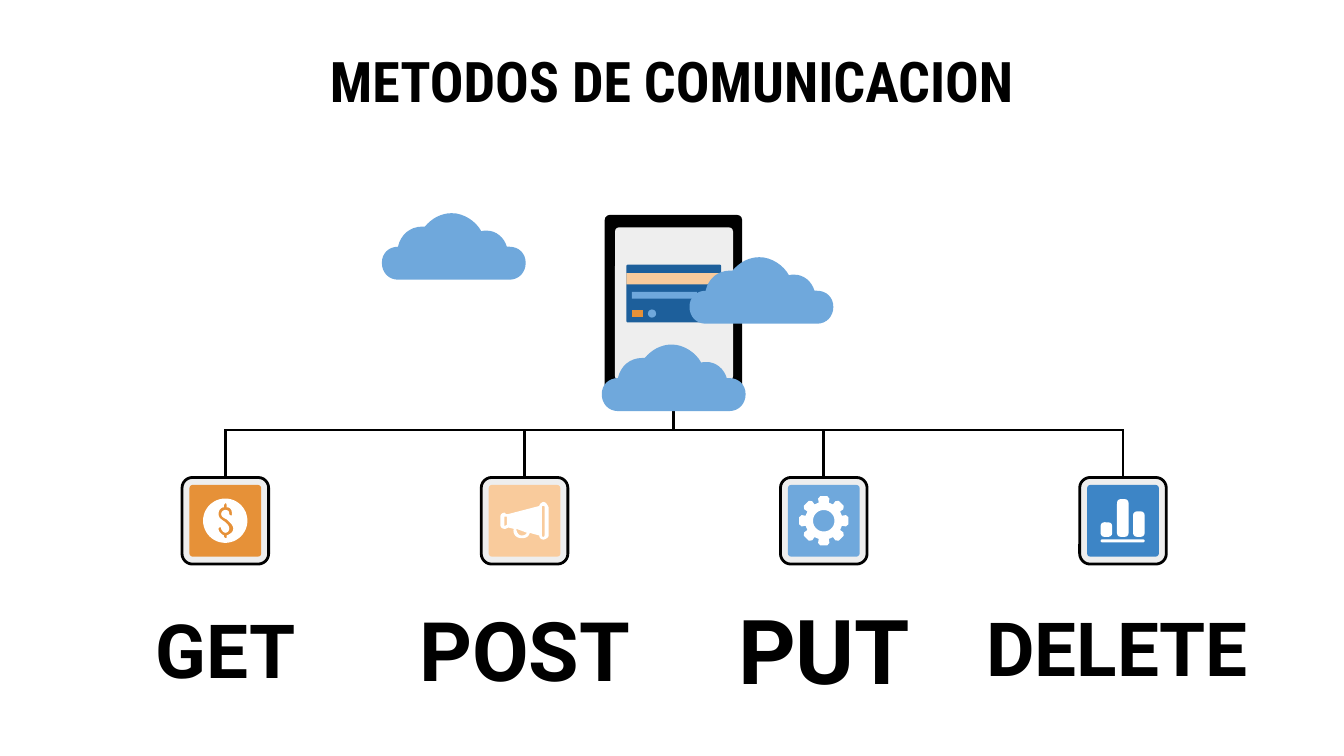
import math
from typing import NamedTuple, Optional

import pptx
import pptx.dml.color
import pptx.enum.shapes
import pptx.enum.text
import pptx.util
from lxml import etree

Pt = pptx.util.Pt
Kind = pptx.enum.shapes.MSO_SHAPE
Point = tuple[float, float]

BLACK, WHITE, GREY = "000000", "FFFFFF", "EEEEEE"
NAVY, BLUE, SKY, PEACH, ORANGE = "1D5F9B", "3D85C6", "6FA8DC", "F9CB9C", "E69138"
UNIT = 0.72  # points per step of the outline grid
FINE = 100   # outline coordinates are kept to this fraction of a step


class Box(NamedTuple):
    x: float
    y: float
    w: float
    h: float
    fill: str
    curve: float = 0
    line: Optional[str] = None


class Label(NamedTuple):
    text: str
    x: float
    y: float
    w: float
    h: float
    size: float
    font: str = "Roboto"
    inset: float = 0


class Tile(NamedTuple):
    fill: str
    label: Label


CLOUD = """M 52 0 C 44 0 37 4 32 10 C 32 10 31 10 30 10 C 21 10 14 16 12 25
C 5 25 0 30 0 37 C 0 44 5 49.5 12 49.5 L 95 49.5 C 102 49.5 107 44 107 37
C 107 30 102 25 95 25 L 93 25 C 91 18 85 13 78 13 C 77 13 75 13 74 13.5
C 70 6 61 0 52 0"""
DOLLAR = """M 0 -13 C 1 -13 1 -12 1 -11 L 1 -10 C 4 -10 5 -8 5 -5
C 5 -4 5 -4 5 -4 C 4 -4 3 -4 3 -5 C 3 -7 2 -8 0 -8 C -1 -8 -3 -7 -3 -5
C -3 -3 -1 -2 1 -1 C 3 1 6 3 6 6 C 6 8 4 10 1 11 L 1 12 C 1 13 1 13 0 13
C 0 13 -1 12 -1 12 L -1 11 C -3 10 -5 8 -5 6 C -5 5 -4 5 -4 5
C -3 5 -3 5 -3 6 C -3 7 -1 9 0 9 C 2 9 3 7 3 6 C 3 4 2 3 0 1
C -3 -1 -5 -2 -5 -5 C -5 -8 -3 -10 -1 -10 L -1 -11 C -1 -12 0 -13 0 -13"""
HORN = """M 14 -14 C 13 -14 11 -12 11 -11 L -12 -5 L -14 -5
C -14 -6 -15 -6 -15 -6 C -16 -6 -18 -5 -18 -3 L -18 3 C -18 5 -16 6 -15 6
C -14 6 -14 6 -14 6 L -12 5 L -8 6 C -9 10 -6 13 -2 13 C 1 13 3 12 4 9
L 11 11 C 11 13 13 14 14 14 C 16 14 18 12 18 11 L 18 -10 C 17 -12 16 -14 14 -14
M -15 -3 L -13 -3 L -13 3 L -15 4
M -6 6 L 2 9 C 1 10 0 11 -2 11 C -4 11 -6 9 -6 6
M 14 -11 C 15 -11 15 -11 15 -10 L 15 10 C 15 11 15 12 14 12
C 13 12 13 11 13 10 L 13 -10 C 13 -11 13 -11 14 -11"""

TITLE = Label("METODOS DE COMUNICACION", 100.8, 23.8, 518.4, 38.2, 30, "Roboto Condensed", 7.2)
TABLET = [
    Box(324, 115.2, 73.6, 98.2, BLACK, 2.6),
    Box(329.5, 121.8, 63.2, 82, GREY, 2.2),
    Box(335.6, 141.8, 50.8, 31, NAVY, 0.8),
    Box(335.6, 146.4, 50.8, 6, PEACH),
    Box(338.6, 156.4, 34.8, 3.6, SKY),
    Box(347.1, 165.8, 4.4, 4.4, SKY, 2.2),
    Box(338.6, 166.2, 5.8, 3.6, ORANGE),
]
CLOUDS = [(322.4, 184.6), (204.6, 114.2), (369.4, 137.8)]
BARS = [  # from the middle of the tile
    Box(-12, 10, 23.6, 1.6, WHITE, 0.8),
    Box(-12, 0.8, 6.2, 7.8, WHITE, 2),
    Box(-3.2, -11.6, 6.2, 20.2, WHITE, 2),
    Box(5.4, -5, 6.2, 13.6, WHITE, 2),
]
TILES = [
    Tile(ORANGE, Label("GET", 60.4, 312.4, 121, 70, 40)),
    Tile(PEACH, Label("POST", 220.6, 312.4, 121, 70, 44)),
    Tile(SKY, Label("PUT", 381, 312.4, 121, 70, 48)),
    Tile(BLUE, Label("DELETE", 525, 311.2, 147, 70, 40)),
]
FIRST, PITCH, MID = 120.7, 160.3, 279  # tile centres
BUS = 230.4


def rgb(code: str) -> pptx.dml.color.RGBColor:
    return pptx.dml.color.RGBColor.from_string(code)


def paint(shape, fill: str, line: Optional[str] = None) -> None:
    shape.shadow.inherit = False
    shape.fill.solid()
    shape.fill.fore_color.rgb = rgb(fill)
    if line:
        shape.line.color.rgb = rgb(line)
        shape.line.width = Pt(1.5)
    else:
        shape.line.fill.background()


def draw_box(slide, box: Box, dx: float = 0, dy: float = 0) -> None:
    kind = Kind.ROUNDED_RECTANGLE if box.curve else Kind.RECTANGLE
    shape = slide.shapes.add_shape(kind, Pt(box.x + dx), Pt(box.y + dy), Pt(box.w), Pt(box.h))
    if box.curve:
        shape.adjustments[0] = box.curve / min(box.w, box.h)
    paint(shape, box.fill, box.line)


def draw_line(slide, x1: float, y1: float, x2: float, y2: float) -> None:
    line = slide.shapes.add_connector(
        pptx.enum.shapes.MSO_CONNECTOR.STRAIGHT, Pt(x1), Pt(y1), Pt(x2), Pt(y2))
    line.line.color.rgb = rgb(BLACK)
    line.line.width = Pt(1.5)
    etree.SubElement(line.element.spPr, pptx.oxml.ns.qn("a:effectLst"))


def draw_text(slide, label: Label) -> None:
    shape = slide.shapes.add_textbox(Pt(label.x), Pt(label.y), Pt(label.w), Pt(label.h))
    frame = shape.text_frame
    frame.word_wrap = True
    frame.vertical_anchor = pptx.enum.text.MSO_ANCHOR.MIDDLE
    frame.margin_left = frame.margin_right = Pt(label.inset)
    frame.margin_top = frame.margin_bottom = Pt(label.inset)
    para = frame.paragraphs[0]
    para.alignment = pptx.enum.text.PP_ALIGN.CENTER
    run = para.add_run()
    run.text = label.text
    run.font.name, run.font.size, run.font.bold = label.font, Pt(label.size), True
    run.font.color.rgb = rgb(BLACK)


def trace(text: str, steps: int = 8) -> list[list[Point]]:
    """Turn move, line and cubic commands into closed rings of points."""
    rings: list[list[Point]] = []
    for part in text.replace("M", "|M").replace("L", "|L").replace("C", "|C").split("|")[1:]:
        nums = [float(n) for n in part[1:].split()]
        ends = list(zip(nums[::2], nums[1::2]))
        if part[0] == "M":
            rings.append(ends)
        elif part[0] == "L":
            rings[-1] += ends
        else:
            knots = [rings[-1][-1], *ends]
            for t in (i / steps for i in range(1, steps + 1)):
                rates = ((1 - t) ** 3, 3 * t * (1 - t) ** 2, 3 * t * t * (1 - t), t ** 3)
                rings[-1].append(tuple(sum(r * k[a] for r, k in zip(rates, knots)) for a in (0, 1)))
    return rings


def polar(size: float, turn: float) -> Point:
    return size * math.cos(turn), size * math.sin(turn)


def ring(size: float) -> list[Point]:
    return [polar(size, math.tau * i / 48) for i in range(48)]


def gear(teeth: int = 8) -> list[Point]:
    tooth = [(14, -0.27), (17, -0.25), (18.5, -0.14), (18.5, 0.14), (17, 0.25), (14, 0.27)]
    return [polar(r, math.tau * i / teeth + a) for i in range(teeth) for r, a in tooth]


def draw_rings(slide, rings: list[list[Point]], x: float, y: float, fill: str) -> None:
    fine = [[(round(a * FINE), round(b * FINE)) for a, b in one] for one in rings]
    pen = slide.shapes.build_freeform(*fine[0][0], scale=Pt(UNIT) / FINE)
    for i, one in enumerate(fine):
        if i:
            pen.move_to(*one[0])
        pen.add_line_segments(one[1:], close=True)
    paint(pen.convert_to_shape(Pt(x), Pt(y)), fill)


def main() -> None:
    deck = pptx.Presentation()
    deck.slide_width, deck.slide_height = Pt(720), Pt(405)
    slide = deck.slides.add_slide(deck.slide_layouts[6])
    spots = [FIRST + PITCH * i for i in range(len(TILES))]

    draw_text(slide, TITLE)
    draw_line(slide, spots[0] - 0.5, BUS, spots[-1] + 0.5, BUS)
    for x in spots:
        draw_line(slide, x, BUS, x, 255)
    draw_line(slide, 361, 205.2, 361, 229.7)
    for box in TABLET:
        draw_box(slide, box)
    for x, y in CLOUDS:
        draw_rings(slide, trace(CLOUD), x, y, SKY)

    for x, tile in zip(spots, TILES):
        draw_text(slide, tile.label)
        draw_box(slide, Box(-23.2, -23.2, 46.4, 46.4, GREY, 5.6, BLACK), x, MID)
        draw_box(slide, Box(-19.2, -19.2, 38.4, 38.4, tile.fill, 1.7), x, MID)
    icons = [[ring(16.5), *trace(DOLLAR)], trace(HORN), [gear(), ring(8)]]
    for x, icon in zip(spots, icons):
        draw_rings(slide, icon, x, MID, WHITE)
    for bar in BARS:
        draw_box(slide, bar, spots[-1], MID)
    deck.save("out.pptx")


if __name__ == "__main__":
    main()
